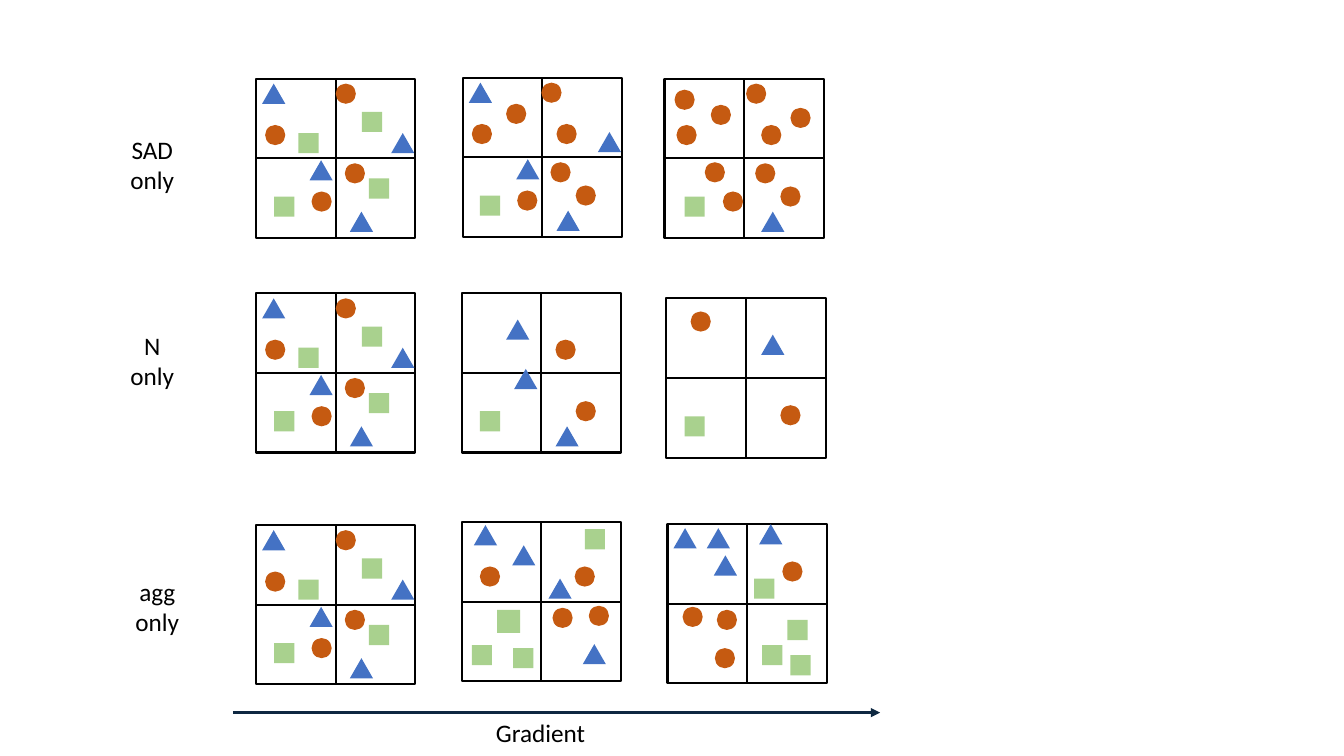
"""Builds a slide of sampling panels along a gradient."""
from lxml import etree
from pptx import Presentation
from pptx.dml.color import RGBColor
from pptx.enum.shapes import MSO_CONNECTOR, MSO_SHAPE
from pptx.enum.text import MSO_AUTO_SIZE, PP_ALIGN
from pptx.oxml.ns import qn
from pptx.util import Inches, Pt

STRAIGHT = MSO_CONNECTOR.STRAIGHT
RECTANGLE = MSO_SHAPE.RECTANGLE
TRIANGLE = MSO_SHAPE.ISOSCELES_TRIANGLE
OVAL = MSO_SHAPE.OVAL
CENTER = PP_ALIGN.CENTER
LEFT = PP_ALIGN.LEFT
FIT_SHAPE = MSO_AUTO_SIZE.SHAPE_TO_FIT_TEXT
TOP_SIDE, LEFT_SIDE, BOTTOM_SIDE, RIGHT_SIDE = range(4)

COLORS = {
    "black": "000000",
    "blue": "4472C4",
    "green": "A9D18E",
    "orange": "C55A11",
    "navy": "0E2841",
}
MARKERS = {
    "triangle": (TRIANGLE, "blue", 0.23, 0.2),
    "square": (RECTANGLE, "green", 0.2, 0.2),
    "large square": (RECTANGLE, "green", 0.23, 0.23),
    "circle": (OVAL, "orange", 0.2, 0.2),
}
PANEL_SIZE = 1.58

START = {
    "triangle": [(0.06, 0.05), (1.34, 0.54), (0.53, 0.81), (0.93, 1.32)],
    "square": [(0.42, 0.54), (0.18, 1.17), (1.12, 0.99), (1.05, 0.33)],
    "circle": [(0.09, 0.46), (0.79, 0.05), (0.88, 0.84), (0.55, 1.12)],
}
SAD_MIDDLE = {
    "triangle": START["triangle"],
    "square": [(0.17, 1.17)],
    "circle": [(0.09, 0.46), (0.78, 0.05), (0.87, 0.84), (0.54, 1.12),
               (0.93, 0.46), (0.43, 0.26), (1.12, 1.07)],
}
SAD_END = {
    "triangle": [(0.96, 1.32)],
    "square": [(0.2, 1.17)],
    "circle": [(0.12, 0.46), (0.81, 0.05), (0.9, 0.84), (0.58, 1.12),
               (0.96, 0.46), (0.46, 0.26), (1.15, 1.07), (0.1, 0.11),
               (1.25, 0.29), (0.4, 0.83)],
}
N_MIDDLE = {
    "triangle": [(0.44, 0.26), (0.52, 0.75), (0.93, 1.32)],
    "square": [(0.18, 1.17)],
    "circle": [(0.93, 0.46), (1.13, 1.07)],
}
N_END = {
    "triangle": [(0.94, 0.36)],
    "square": [(0.18, 1.17)],
    "circle": [(1.13, 1.06), (0.24, 0.13)],
}
AGG_MIDDLE = {
    "triangle": [(0.12, 0.03), (0.86, 0.56), (0.5, 0.23), (1.2, 1.21)],
    "square": [(0.1, 1.22), (0.51, 1.25), (1.22, 0.07)],
    "large square": [(0.35, 0.87)],
    "circle": [(0.18, 0.44), (1.12, 0.44), (0.9, 0.85), (1.26, 0.83)],
}
AGG_END = {
    "triangle": [(0.06, 0.04), (0.39, 0.04), (0.46, 0.31), (0.91, 0)],
    "square": [(1.22, 1.3), (0.86, 0.54), (1.19, 0.95), (0.94, 1.2)],
    "circle": [(0.47, 1.23), (1.14, 0.37), (0.15, 0.82), (0.49, 0.85)],
}
ROWS = [
    (["SAD", "only"], (1.19, 1.28),
     [(2.54, 0.78, START), (4.59, 0.77, SAD_MIDDLE), (6.59, 0.78, SAD_END)]),
    (["N", "only"], (1.19, 3.23),
     [(2.54, 2.91, START), (4.58, 2.91, N_MIDDLE), (6.61, 2.96, N_END)]),
    (["agg", "only"], (1.24, 5.67),
     [(2.54, 5.21, START), (4.58, 5.18, AGG_MIDDLE), (6.62, 5.2, AGG_END)]),
]


def color(name):
    """Return the named colour."""
    return RGBColor.from_string(COLORS[name])


def add_line(page, start, end, name, width):
    """Draw a straight line without a shadow."""
    points = [Inches(value) for value in (*start, *end)]
    line = page.shapes.add_connector(STRAIGHT, *points)
    line.line.color.rgb = color(name)
    line.line.width = Pt(width)
    etree.SubElement(line._element.spPr, qn("a:effectLst"))
    return line


def add_marker(page, kind, left, top):
    """Draw one individual of a species."""
    shape, name, width, height = MARKERS[kind]
    marker = page.shapes.add_shape(
        shape, Inches(left), Inches(top), Inches(width), Inches(height))
    marker.shadow.inherit = False
    marker.fill.solid()
    marker.fill.fore_color.rgb = color(name)
    marker.line.fill.background()


def add_panel(page, left, top, individuals):
    """Draw a square panel of four quadrats with its individuals."""
    size = Inches(PANEL_SIZE)
    frame = page.shapes.add_shape(RECTANGLE, Inches(left), Inches(top), size, size)
    frame.shadow.inherit = False
    frame.fill.background()
    frame.line.color.rgb = color("black")
    frame.line.width = Pt(1.5)
    half = PANEL_SIZE / 2
    dividers = [
        ((left + half, top), (left + half, top + PANEL_SIZE), TOP_SIDE, BOTTOM_SIDE),
        ((left, top + half), (left + PANEL_SIZE, top + half), LEFT_SIDE, RIGHT_SIDE),
    ]
    for start, end, first_side, last_side in dividers:
        divider = add_line(page, start, end, "black", 1.5)
        divider.begin_connect(frame, first_side)
        divider.end_connect(frame, last_side)
    for kind, places in individuals.items():
        for across, down in places:
            add_marker(page, kind, left + across, top + down)


def add_label(page, lines, left, top, width, height, alignment):
    """Write a label with one paragraph per line."""
    box = page.shapes.add_textbox(
        Inches(left), Inches(top), Inches(width), Inches(height))
    frame = box.text_frame
    frame.word_wrap = False
    frame.auto_size = FIT_SHAPE
    for index, text in enumerate(lines):
        para = frame.add_paragraph() if index else frame.paragraphs[0]
        para.alignment = alignment
        span = para.add_run()
        span.text = text
        span.font.name = "Calibri"
        span.font.size = Pt(18)
        span.font.color.rgb = color("black")


def add_row(page, lines, place, panels):
    """Place a row label and its panels."""
    for left, top, individuals in panels:
        add_panel(page, left, top, individuals)
    add_label(page, lines, *place, 0.64, 0.71, CENTER)


def add_gradient(page, left, top, width):
    """Draw the gradient arrow and its caption."""
    arrow = add_line(page, (left, top), (left + width, top), "navy", 2.25)
    etree.SubElement(arrow.line._get_or_add_ln(), qn("a:tailEnd"), type="triangle")
    add_label(page, ["Gradient"], left + 2.51, top, 1.1, 0.4, LEFT)


def main():
    """Build and save the deck."""
    deck = Presentation()
    deck.slide_width = Inches(13.33)
    deck.slide_height = Inches(7.5)
    page = deck.slides.add_slide(deck.slide_layouts[6])
    for lines, place, panels in ROWS:
        add_row(page, lines, place, panels)
    add_gradient(page, 2.31, 7.07, 6.42)
    deck.save("out.pptx")


if __name__ == "__main__":
    main()
